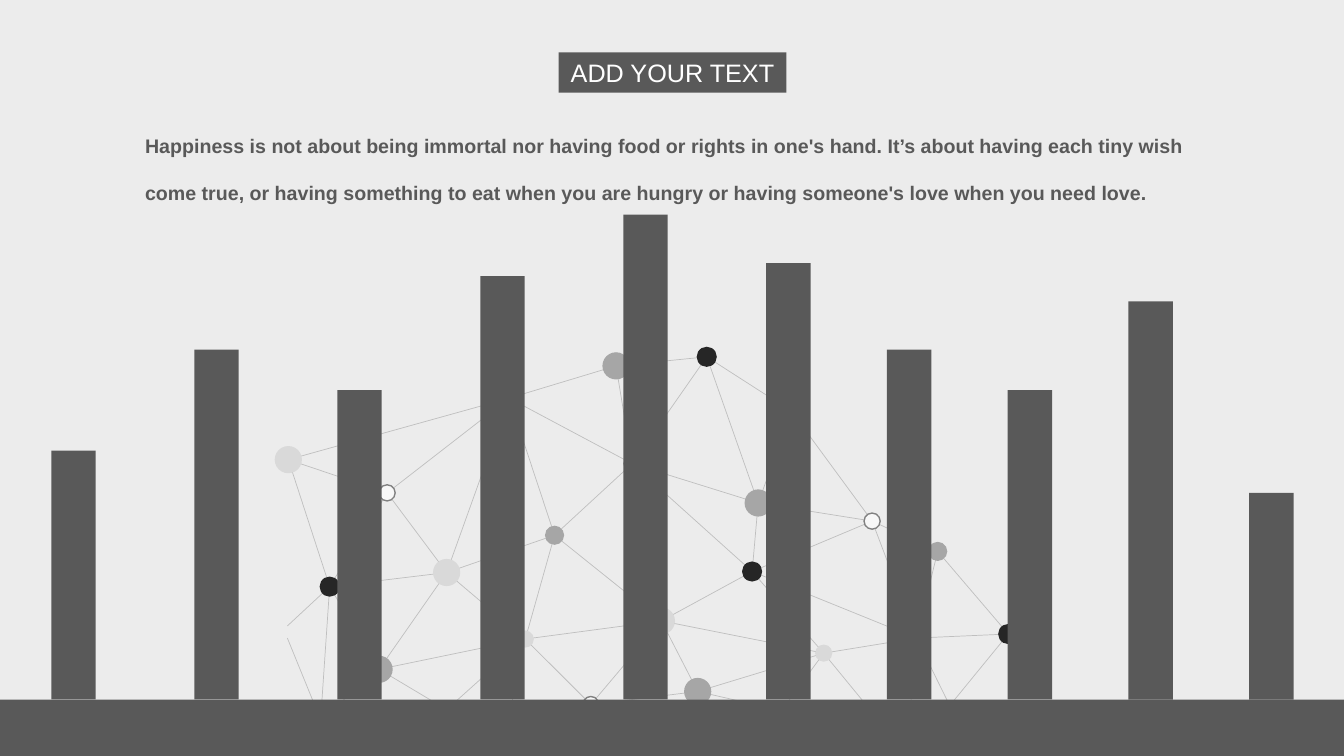
from collections import namedtuple

from lxml import etree
from pptx import Presentation
from pptx.dml.color import RGBColor
from pptx.enum.shapes import MSO_CONNECTOR, MSO_SHAPE
from pptx.enum.text import MSO_ANCHOR, MSO_AUTO_SIZE, PP_ALIGN
from pptx.oxml.ns import qn
from pptx.util import Cm, Pt

RECTANGLE, OVAL = MSO_SHAPE.RECTANGLE, MSO_SHAPE.OVAL
STRAIGHT = MSO_CONNECTOR.STRAIGHT
CENTER, MIDDLE = PP_ALIGN.CENTER, MSO_ANCHOR.MIDDLE
NO_AUTOFIT = MSO_AUTO_SIZE.NONE

BACKGROUND = RGBColor(0xEC, 0xEC, 0xEC)
DARK = RGBColor(0x59, 0x59, 0x59)
WHITE = RGBColor(0xFF, 0xFF, 0xFF)
BLACK = RGBColor(0x26, 0x26, 0x26)
GREY = RGBColor(0xA6, 0xA6, 0xA6)
PALE = RGBColor(0xD9, 0xD9, 0xD9)
HOLLOW = RGBColor(0xF7, 0xF7, 0xF7)
RING = RGBColor(0x80, 0x80, 0x80)
LINK = RGBColor(0xBF, 0xBF, 0xBF)

FONT = "Arial"
TITLE = "ADD YOUR TEXT"
QUOTE = (
    "Happiness is not about being immortal nor having food or rights in one's hand. "
    "It’s about having each tiny wish come true, or having something to eat when you "
    "are hungry or having someone's love when you need love."
)

# All measures below are in inches.
SLIDE_WIDTH, SLIDE_HEIGHT = 13.33, 7.5
GROUND_TOP = 6.94
BAR_WIDTH = 0.44
# The bars are evenly spaced from the first to the tallest group's edge, and again to the last.
FIRST_LEFT, TURN_LEFT, LAST_LEFT = 0.51, 7.6, 12.39
TURN_INDEX = 5
BAR_HEIGHTS = [2.47, 3.47, 3.07, 4.2, 4.81, 4.33, 3.47, 3.07, 3.95, 2.05]

Dot = namedtuple("Dot", "diameter fill outline")
BLACK_DOT = Dot(0.2, BLACK, None)
BIG_GREY_DOT = Dot(0.27, GREY, None)
SMALL_GREY_DOT = Dot(0.19, GREY, None)
BIG_PALE_DOT = Dot(0.27, PALE, None)
SMALL_PALE_DOT = Dot(0.17, PALE, None)
HOLLOW_DOT = Dot(0.16, HOLLOW, RING)

# Each node has a centre and a dot; a node without a dot is a bare joint of links.
Node = namedtuple("Node", "x y dot", defaults=[None])
NODES = {
    "far west": Node(2.86, 4.56, BIG_PALE_DOT),
    "west": Node(3.27, 5.82, BLACK_DOT),
    "west ring": Node(3.84, 4.89, HOLLOW_DOT),
    "southwest": Node(3.76, 6.64, BIG_GREY_DOT),
    "west hub": Node(4.43, 5.68, BIG_PALE_DOT),
    "south hub": Node(5.21, 6.34, SMALL_PALE_DOT),
    "inner west": Node(5.5, 5.31, SMALL_GREY_DOT),
    "south ring": Node(5.86, 6.99, HOLLOW_DOT),
    "north": Node(6.11, 3.63, BIG_GREY_DOT),
    "centre ring": Node(6.27, 4.6, HOLLOW_DOT),
    "centre": Node(6.56, 6.16, BIG_PALE_DOT),
    "south": Node(6.92, 6.86, BIG_GREY_DOT),
    "crown": Node(7.01, 3.54, BLACK_DOT),
    "inner east": Node(7.46, 5.67, BLACK_DOT),
    "upper east": Node(7.52, 4.99, BIG_GREY_DOT),
    "southeast": Node(8.17, 6.48, SMALL_PALE_DOT),
    "east ring": Node(8.65, 5.17, HOLLOW_DOT),
    "east": Node(9.3, 5.47, SMALL_GREY_DOT),
    "far east": Node(10, 6.29, BLACK_DOT),
    "west end": Node(2.85, 6.21),
    "lower west end": Node(2.85, 6.33),
    "west foot": Node(3.18, 7.14),
    "southwest foot": Node(4.43, 7.04),
    "south foot": Node(4.97, 7.48),
    "northwest joint": Node(5.05, 3.95),
    "centre foot": Node(7.75, 7.05),
    "northeast joint": Node(7.85, 4.08),
    "southeast foot": Node(8.99, 7.48),
    "east joint": Node(9.09, 6.33),
    "east foot": Node(9.42, 7),
}

# Every link is listed once, under one of its two nodes.
NEIGHBOURS = {
    "northwest joint": ["north", "centre ring", "inner west", "west hub", "west ring", "far west"],
    "west": ["far west", "west ring", "southwest", "west hub", "west end", "west foot"],
    "west foot": ["southwest", "lower west end"],
    "west ring": ["far west", "west hub"],
    "southwest": ["west hub", "south hub", "southwest foot"],
    "south hub": ["west hub", "inner west", "centre", "south ring", "southwest foot", "south foot"],
    "inner west": ["west hub", "centre ring", "centre"],
    "centre ring": ["north", "crown", "upper east", "inner east"],
    "centre": ["south ring", "south", "inner east", "southeast"],
    "south": ["south ring", "centre foot", "southeast"],
    "crown": ["north", "upper east", "northeast joint"],
    "upper east": ["northeast joint", "inner east", "east ring"],
    "southeast": ["inner east", "east joint", "centre foot", "southeast foot"],
    "east ring": ["northeast joint", "inner east", "east", "east joint"],
    "east joint": ["inner east", "east", "far east", "east foot", "southeast foot"],
    "far east": ["east", "east foot"],
}


def inches_to_cm(*values):
    return [Cm(value * 2.54) for value in values]


def add_link(slide, start, end):
    ends = inches_to_cm(start.x, start.y, end.x, end.y)
    connector = slide.shapes.add_connector(STRAIGHT, *ends)
    connector.line.color.rgb = LINK
    connector.line.width = Pt(0.5)
    etree.SubElement(connector._element.spPr, qn("a:effectLst"))


def add_filled_shape(slide, kind, box, fill, outline=None):
    shape = slide.shapes.add_shape(kind, *inches_to_cm(*box))
    shape.shadow.inherit = False
    shape.fill.solid()
    shape.fill.fore_color.rgb = fill
    if outline is None:
        shape.line.fill.background()
    else:
        shape.line.color.rgb = outline
        shape.line.width = Pt(1)


def add_dot(slide, node):
    diameter, fill, outline = node.dot
    box = (node.x - diameter / 2, node.y - diameter / 2, diameter, diameter)
    add_filled_shape(slide, OVAL, box, fill, outline)


def add_network(slide):
    """Draw the links first, so that the dots cover their ends."""
    for name, neighbours in NEIGHBOURS.items():
        for neighbour in neighbours:
            add_link(slide, NODES[name], NODES[neighbour])
    for node in NODES.values():
        if node.dot:
            add_dot(slide, node)


def bar_left(index):
    if index <= TURN_INDEX:
        return FIRST_LEFT + index * (TURN_LEFT - FIRST_LEFT) / TURN_INDEX
    steps_after_turn = len(BAR_HEIGHTS) - 1 - TURN_INDEX
    return TURN_LEFT + (index - TURN_INDEX) * (LAST_LEFT - TURN_LEFT) / steps_after_turn


def add_bars(slide):
    ground = (0, GROUND_TOP, SLIDE_WIDTH, SLIDE_HEIGHT - GROUND_TOP)
    add_filled_shape(slide, RECTANGLE, ground, DARK)
    for index, height in enumerate(BAR_HEIGHTS):
        bar = (bar_left(index), GROUND_TOP - height, BAR_WIDTH, height)
        add_filled_shape(slide, RECTANGLE, bar, DARK)


def write_text(shape, text, size, color, bold=False):
    paragraph = shape.text_frame.paragraphs[0]
    paragraph.text = text
    paragraph.font.name = FONT
    paragraph.font.size = Pt(size)
    paragraph.font.bold = bold
    paragraph.font.color.rgb = color
    return paragraph


def format_title(slide):
    title = slide.shapes.title
    title.left, title.top, title.width, title.height = inches_to_cm(5.54, 0.52, 2.26, 0.4)
    title.fill.solid()
    title.fill.fore_color.rgb = DARK
    write_text(title, TITLE, 18, WHITE).alignment = CENTER
    title.text_frame.auto_size = NO_AUTOFIT
    title.text_frame.word_wrap = False
    title.text_frame.vertical_anchor = MIDDLE


def add_quote(slide):
    text_box = slide.shapes.add_textbox(*inches_to_cm(1.34, 1.05, 10.66, 1.04))
    text_box.text_frame.word_wrap = True
    write_text(text_box, QUOTE, 14, DARK, bold=True).line_spacing = 2.0


def main():
    presentation = Presentation()
    slide_size = inches_to_cm(SLIDE_WIDTH, SLIDE_HEIGHT)
    presentation.slide_width, presentation.slide_height = slide_size
    title_only_layout = presentation.slide_layouts[5]
    slide = presentation.slides.add_slide(title_only_layout)
    slide.background.fill.solid()
    slide.background.fill.fore_color.rgb = BACKGROUND
    add_network(slide)
    add_bars(slide)
    add_quote(slide)
    format_title(slide)
    presentation.save("out.pptx")


if __name__ == "__main__":
    main()
